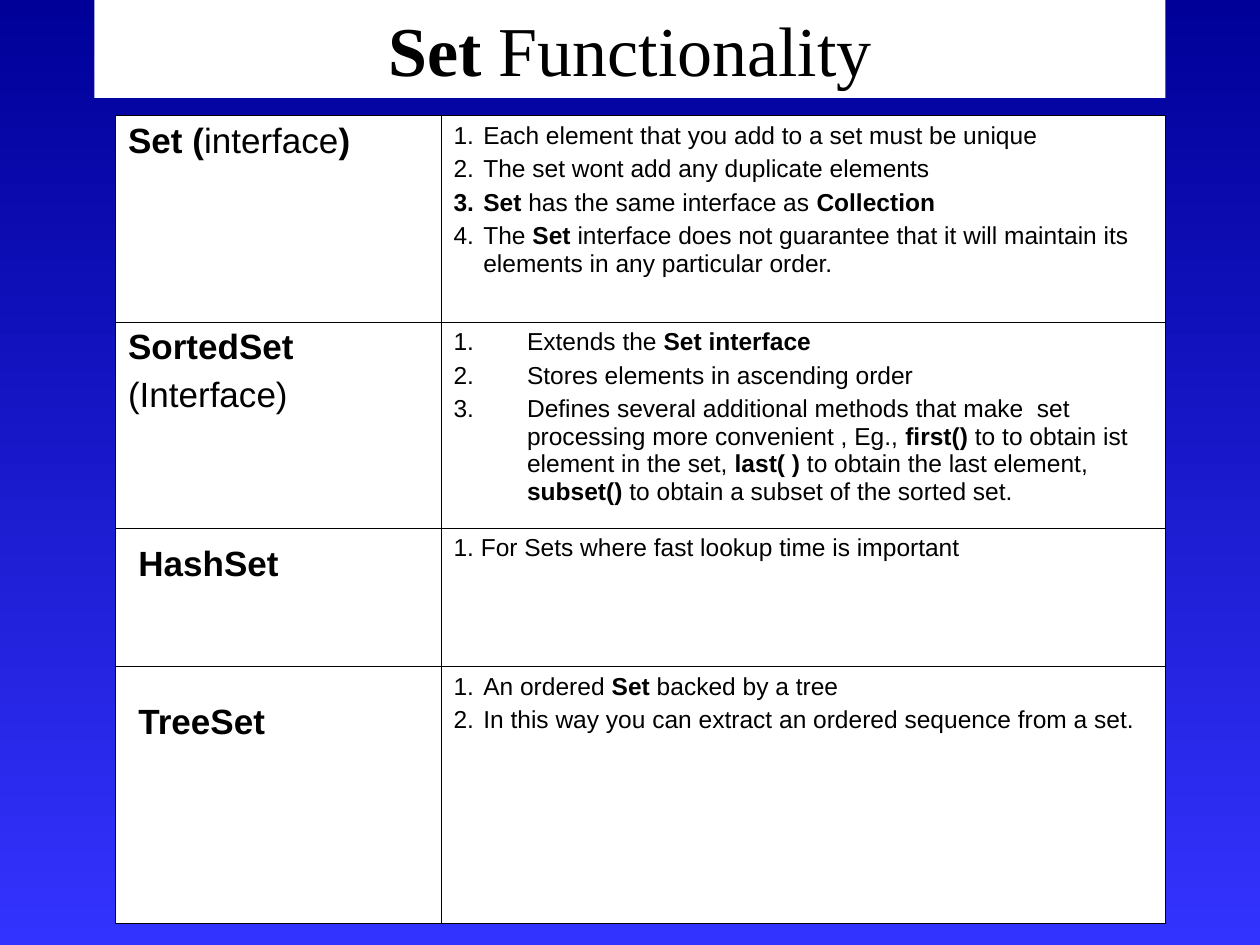
from lxml import etree
from pptx import Presentation
from pptx import util as u
from pptx.dml import color
from pptx.enum import shapes, text
from pptx.oxml import ns

Pt = u.Pt
INK, PAPER = "000000", "FFFFFF"
SERIF, SANS = "Times New Roman", "Arial"
HEAD = dict(name=SANS, size=Pt(20))
BODY = dict(name=SANS, size=Pt(14))
BIG = dict(name=SERIF, size=Pt(40))

# Left text, right text, number indent (None for plain text), height;
# asterisks enclose bold words
ROWS = [
    (["*Set (*interface*)*"],
     ["Each element that you add to a set must be unique",
      "The set wont add any duplicate elements",
      "*Set *has the same interface as *Collection*",
      "The *Set *interface does not guarantee that it will maintain its "
      "elements in any particular order."], 17, 118),
    (["*SortedSet*", "(Interface)"],
     ["Extends the *Set interface*",
      "Stores elements in ascending order",
      "Defines several additional methods that make  set processing more "
      "convenient , Eg., *first() *to to obtain ist element in the set, "
      "*last( )* to obtain the last element, *subset()* to obtain a subset "
      "of the sorted set."], 42, 118),
    ([], ["1. For Sets where fast lookup time is important"], None, 79),
    ([], ["An ordered *Set* backed by a tree",
          "In this way you can extract an ordered sequence from a set."],
     17, 147),
]


def rgb(code):
    return color.RGBColor.from_string(code)


def put(obj, vals):
    for key, val in vals.items():
        setattr(obj, key, val)


def sub(node, tag, **vals):
    return etree.SubElement(node, ns.qn("a:" + tag), vals)


class Deck:
    def __init__(self):
        self.prs = Presentation()
        put(self.prs, dict(slide_width=Pt(720), slide_height=Pt(540)))
        self.slide = self.prs.slides.add_slide(self.prs.slide_layouts[6])

    def back(self, top, low):
        fill = self.slide.background.fill
        fill.gradient()
        fill.gradient_angle = 270
        for stop, code in zip(fill.gradient_stops, (top, low)):
            stop.color.rgb = rgb(code)

    def words(self, frame, lines, font, gap=0, hang=None, align=None):
        """Fill a frame; with hang, number the lines and indent them."""
        frame.word_wrap = True
        for i, line in enumerate(lines):
            para = frame.add_paragraph() if i else frame.paragraphs[0]
            if hang:
                props = para._p.get_or_add_pPr()
                props.set("marL", str(Pt(hang)))
                props.set("indent", str(-Pt(hang)))
                sub(sub(props, "buClr"), "srgbClr", val=INK)
                sub(props, "buAutoNum", type="arabicPeriod")
            para.alignment = align
            if i:
                para.space_before = Pt(gap)
            for j, part in enumerate(line.split("*")):
                if part:
                    run = para.add_run()
                    run.text = part
                    put(run.font, dict(font, bold=j % 2 == 1))
                    run.font.color.rgb = rgb(INK)

    def title(self, line, *box):
        bar = self.slide.shapes.add_shape(
            shapes.MSO_SHAPE.RECTANGLE, *map(Pt, box))
        bar.shadow.inherit = False
        bar.fill.solid()
        bar.fill.fore_color.rgb = rgb(PAPER)
        bar.line.fill.background()
        bar.text_frame.vertical_anchor = text.MSO_ANCHOR.MIDDLE
        self.words(bar.text_frame, [line], BIG, align=text.PP_ALIGN.CENTER)

    def label(self, line, *box):
        frame = self.slide.shapes.add_textbox(*map(Pt, box)).text_frame
        self.words(frame, [line], HEAD)

    def paint(self, cell):
        """Give a cell thin black borders and a plain fill."""
        props = cell._tc.get_or_add_tcPr()
        for side in "LRTB":
            edge = sub(props, "ln" + side, w=str(Pt(0.45)))
            sub(sub(edge, "solidFill"), "srgbClr", val=INK)
        cell.fill.solid()
        cell.fill.fore_color.rgb = rgb(PAPER)

    def table(self, rows, left, top, cols):
        high = sum(row[-1] for row in rows)
        grid = self.slide.shapes.add_table(
            len(rows), len(cols),
            *map(Pt, (left, top, sum(cols), high))).table
        put(grid, dict(first_row=False, horz_banding=False))
        for col, wide in zip(grid.columns, cols):
            col.width = Pt(wide)
        for row, (name, facts, hang, high) in zip(grid.rows, rows):
            row.height = Pt(high)
            for cell in row.cells:
                self.paint(cell)
            self.words(row.cells[0].text_frame, name, HEAD, 5)
            self.words(row.cells[1].text_frame, facts, BODY, 3.5, hang)


def main():
    deck = Deck()
    deck.back("000099", "3333FF")
    deck.title("*Set *Functionality", 54, 0, 612, 56)
    deck.table(ROWS, 66, 66, (186, 414))
    deck.label("*TreeSet*", 72, 396, 144, 32)
    deck.label("*HashSet*", 72, 306, 132, 32)
    deck.prs.save("out.pptx")


if __name__ == "__main__":
    main()
